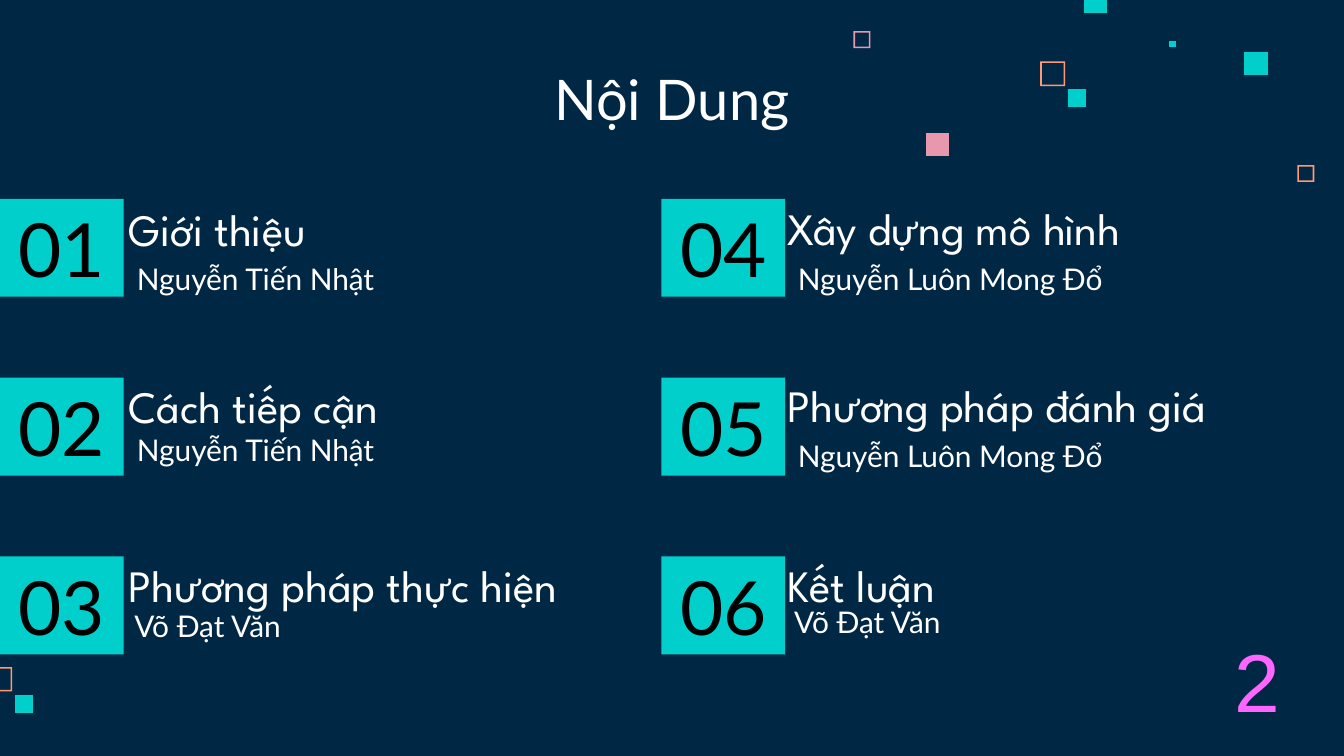
import dataclasses

import pptx
import pptx.dml.color
import pptx.enum.shapes
import pptx.enum.text
import pptx.util

Cm = pptx.util.Cm
Pt = pptx.util.Pt
ALIGN = pptx.enum.text.PP_ALIGN
ANCHOR = pptx.enum.text.MSO_ANCHOR
FIT = pptx.enum.text.MSO_AUTO_SIZE

HEX = {
    "navy": "002845",
    "teal": "00CFCC",
    "pink": "E898AC",
    "orange": "FF9973",
    "white": "FFFFFF",
    "black": "000000",
    "magenta": "FF66FF",
}


@dataclasses.dataclass
class Style:
    font: str
    size: int
    color: str
    align: ALIGN
    anchor: ANCHOR = ANCHOR.TOP
    pad: float = 0.25
    side: float = 0.25
    fit: FIT = FIT.NONE


@dataclasses.dataclass
class Square:
    left: float
    top: float
    size: float
    color: str
    hollow: bool = False


@dataclasses.dataclass
class Topic:
    title: str
    title_at: tuple[float, float, float]  # left, top, width
    person: str
    person_at: tuple[float, float, float]


GROW = FIT.SHAPE_TO_FIT_TEXT
HEAD = Style("Lato", 30, "white", ALIGN.CENTER, ANCHOR.BOTTOM)
NUMBER = Style("Lato", 40, "black", ALIGN.CENTER, ANCHOR.MIDDLE)
TITLE = Style("League Spartan", 24, "white", ALIGN.LEFT, pad=0.51, side=0.96, fit=GROW)
PERSON = Style("Lato", 16, "white", ALIGN.LEFT, pad=0.13, fit=GROW)
PAGE = Style("Arial", 44, "magenta", ALIGN.LEFT, pad=0.13, fit=GROW)

SQUARES = [
    Square(24.52, 3.12, 0.32, "orange", True),
    Square(16.13, 0.59, 0.32, "pink", True),
    Square(19.66, 1.16, 0.47, "orange", True),
    Square(22.1, 0.77, 0.12, "teal"),
    Square(20.48, -0.2, 0.44, "teal"),
    Square(23.52, 0.98, 0.44, "teal"),
    Square(20.18, 1.68, 0.35, "teal"),
    Square(17.5, 2.51, 0.44, "pink"),
    Square(-0.23, 12.61, 0.46, "orange", True),
    Square(0.28, 13.13, 0.35, "teal"),
]

TOPICS = [
    Topic("Giới thiệu", (1.47, 3.3, 6.6), "Nguyễn Tiến Nhật", (2.34, 4.8, 5.74)),
    Topic("Cách tiếp cận", (1.47, 6.65, 11.71), "Nguyễn Tiến Nhật", (2.34, 8.03, 5.74)),
    Topic("Phương pháp thực hiện", (1.47, 10.03, 12.65), "Võ Đạt Văn", (2.29, 11.36, 5.74)),
    Topic("Xây dựng mô hình", (13.92, 3.28, 10.19), "Nguyễn Luôn Mong Đổ", (14.83, 4.8, 7.65)),
    Topic("Phương pháp đánh giá", (13.92, 6.63, 11.48), "Nguyễn Luôn Mong Đổ", (14.83, 8.15, 7.65)),
    Topic("Kết luận", (13.92, 10.03, 6.6), "Võ Đạt Văn", (14.76, 11.28, 7.65)),
]

ROWS = 3
COL_GAP, ROW_GAP = 12.5, 3.38
ROW_TOP = 3.76
BOX_WIDTH, BOX_HEIGHT = 2.34, 1.85
EDGE = 0.03  # thickness of a hollow square


def tint(name: str) -> pptx.dml.color.RGBColor:
    return pptx.dml.color.RGBColor.from_string(HEX[name])


def paint(shape, color: str) -> None:
    shape.shadow.inherit = False
    shape.fill.solid()
    shape.fill.fore_color.rgb = tint(color)
    shape.line.fill.background()


def write(shape, text: str, style: Style) -> None:
    frame = shape.text_frame
    format = {
        "word_wrap": True,
        "auto_size": style.fit,
        "vertical_anchor": style.anchor,
        "margin_left": Cm(style.side),
        "margin_right": Cm(style.pad if style is TITLE else style.side),
        "margin_top": Cm(style.pad),
        "margin_bottom": Cm(style.pad),
    }
    for key, value in format.items():
        setattr(frame, key, value)
    line = frame.paragraphs[0]
    line.alignment = style.align
    run = line.add_run()
    run.text = text
    for key, value in {"name": style.font, "size": Pt(style.size)}.items():
        setattr(run.font, key, value)
    run.font.color.rgb = tint(style.color)


def add_text(slide, text: str, style: Style, left: float, top: float,
             width: float, height: float) -> None:
    box = slide.shapes.add_textbox(Cm(left), Cm(top), Cm(width), Cm(height))
    write(box, text, style)


def add_square(slide, square: Square) -> None:
    def corners(inset: float) -> list[tuple[int, int]]:
        left, top = Cm(square.left + inset), Cm(square.top + inset)
        side = Cm(square.size - 2 * inset)
        return [(left, top), (left, top + side),
                (left + side, top + side), (left + side, top)]

    outer = corners(0)
    path = slide.shapes.build_freeform(*outer[0])
    path.add_line_segments(outer[1:])
    if square.hollow:
        inner = corners(EDGE)[::-1]
        path.move_to(*inner[0])
        path.add_line_segments(inner[1:])
    paint(path.convert_to_shape(), square.color)


def add_topic(slide, index: int, topic: Topic) -> None:
    col, row = divmod(index, ROWS)
    box = slide.shapes.add_shape(
        pptx.enum.shapes.MSO_SHAPE.RECTANGLE,
        Cm(col * COL_GAP), Cm(ROW_TOP + row * ROW_GAP),
        Cm(BOX_WIDTH), Cm(BOX_HEIGHT))
    paint(box, "teal")
    write(box, f"{index + 1:02}", NUMBER)
    add_text(slide, topic.title, TITLE, *topic.title_at, 2.06)
    add_text(slide, topic.person, PERSON, *topic.person_at, 0.94)


def main() -> None:
    deck = pptx.Presentation()
    deck.slide_width, deck.slide_height = Cm(25.4), Cm(14.29)
    slide = deck.slides.add_slide(deck.slide_layouts[6])

    # Background and scattered squares
    slide.background.fill.solid()
    slide.background.fill.fore_color.rgb = tint("navy")
    for square in SQUARES:
        add_square(slide, square)

    # Heading, topics and page number
    add_text(slide, "Nội Dung", HEAD, 0, 1.14, 25.4, 1.6)
    for index, topic in enumerate(TOPICS):
        add_topic(slide, index, topic)
    add_text(slide, "2", PAGE, 23.09, 11.79, 1.8, 2.13)

    deck.save("out.pptx")


if __name__ == "__main__":
    main()
